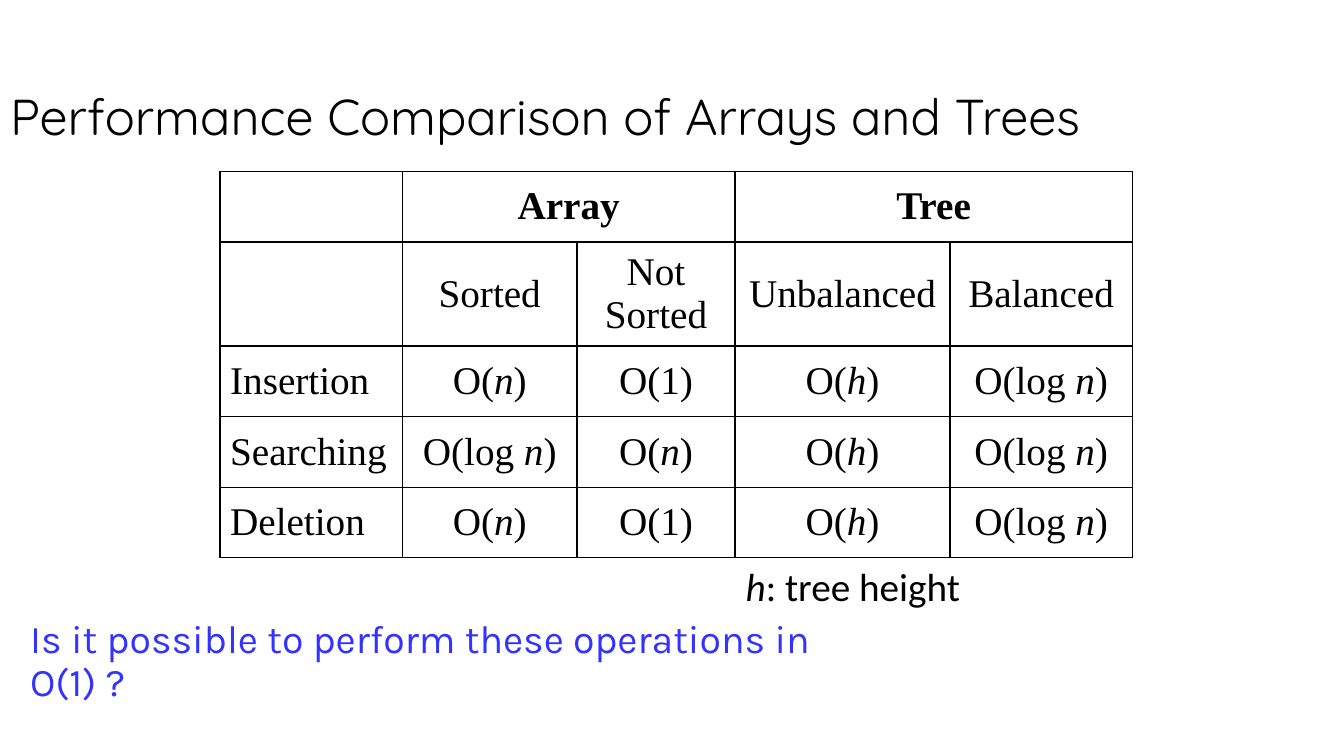
import dataclasses

import lxml.etree
import pptx
import pptx.dml.color
import pptx.enum.text
import pptx.oxml.ns
import pptx.util

BLACK = pptx.dml.color.RGBColor(0x00, 0x00, 0x00)
WHITE = pptx.dml.color.RGBColor(0xFF, 0xFF, 0xFF)
BLUE = pptx.dml.color.RGBColor(0x33, 0x33, 0xFF)

UNIT = pptx.util.Inches(1) / 12
WIDE, HIGH = 160, 90
PAD = 1.2
ALIGN = pptx.enum.text.PP_ALIGN
ANCHOR = pptx.enum.text.MSO_ANCHOR


@dataclasses.dataclass(frozen=True)
class Box:
    col: float
    row: float
    wide: float
    high: float


@dataclasses.dataclass(frozen=True)
class Style:
    face: str
    size: float
    color: pptx.dml.color.RGBColor = BLACK
    bold: bool = False


HEAD = Style("Quicksand", 36)
ASK = Style("Karla", 28, BLUE)
CELL = Style("Times New Roman", 28)
TOP = dataclasses.replace(CELL, bold=True)
NOTE = Style("Calibri", 28)

COLS = (21.7, 20.8, 18.8, 25.6, 21.7)
ROWS = (8.4, 12.4, 8.4, 8.4, 8.4)
GRID = (
    ("", "Array", "", "Tree", ""),
    ("", "Sorted", "Not Sorted", "Unbalanced", "Balanced"),
    ("Insertion", "O(_n_)", "O(1)", "O(_h_)", "O(log _n_)"),
    ("Searching", "O(log _n_)", "O(_n_)", "O(_h_)", "O(log _n_)"),
    ("Deletion", "O(_n_)", "O(1)", "O(_h_)", "O(log _n_)"),
)


def span(count: float) -> int:
    return round(count * UNIT)


def place(box: Box) -> tuple[int, int, int, int]:
    return span(box.col), span(box.row), span(box.wide), span(box.high)


def move(shape, box: Box) -> None:
    shape.left, shape.top, shape.width, shape.height = place(box)


def write(para, text: str, style: Style) -> None:
    for index, part in enumerate(text.split("_")):
        if part:
            run = para.add_run()
            run.text = part
            if index % 2:
                run.font.italic = True
    font = para.font
    font.name = style.face
    font.size = pptx.util.Pt(style.size)
    font.bold = style.bold
    font.color.rgb = style.color


def inset(frame, left: float, top: float, right: float, low: float) -> None:
    frame.margin_left, frame.margin_top = span(left), span(top)
    frame.margin_right, frame.margin_bottom = span(right), span(low)
    frame.word_wrap = True


def border(cell) -> None:
    props = cell._tc.get_or_add_tcPr()
    for index, side in enumerate(("lnL", "lnR", "lnT", "lnB")):
        line = lxml.etree.Element(pptx.oxml.ns.qn(f"a:{side}"), w=str(pptx.util.Pt(1)))
        fill = lxml.etree.SubElement(line, pptx.oxml.ns.qn("a:solidFill"))
        lxml.etree.SubElement(fill, pptx.oxml.ns.qn("a:srgbClr"), val=str(BLACK))
        props.insert(index, line)


def title(slide) -> None:
    shape = slide.shapes.title
    move(shape, Box(0, 4.3, 148.3, 14.2))
    frame = shape.text_frame
    inset(frame, PAD, PAD / 2, PAD, PAD)
    frame.vertical_anchor = ANCHOR.BOTTOM
    para = frame.paragraphs[0]
    para.alignment = ALIGN.LEFT
    para.line_spacing = 0.85
    write(para, "Performance Comparison of Arrays and Trees", HEAD)


def question(slide) -> None:
    shape = slide.placeholders[1]
    move(shape, Box(0, 73.2, 108, 11))
    frame = shape.text_frame
    inset(frame, 0, PAD / 2, 0, PAD / 2)
    frame.vertical_anchor = ANCHOR.TOP
    para = frame.paragraphs[0]
    para.line_spacing = 0.9
    para.space_before = pptx.util.Pt(0)
    props = para._p.get_or_add_pPr()
    props.set("marL", str(span(3.6)))
    props.set("indent", str(span(-3.6)))
    lxml.etree.SubElement(props, pptx.oxml.ns.qn("a:buChar"), char=" ")
    write(para, "Is it possible to perform these operations in O(1) ?", ASK)


def table(slide) -> None:
    box = Box(26.2, 20.4, sum(COLS), sum(ROWS))
    grid = slide.shapes.add_table(len(ROWS), len(COLS), *place(box)).table
    grid.first_row = grid.horz_banding = False
    for col, wide in zip(grid.columns, COLS):
        col.width = span(wide)
    for row, high in zip(grid.rows, ROWS):
        row.height = span(high)
    for r, texts in enumerate(GRID):
        for c, text in enumerate(texts):
            cell = grid.cell(r, c)
            cell.fill.solid()
            cell.fill.fore_color.rgb = WHITE
            border(cell)
            cell.vertical_anchor = ANCHOR.MIDDLE
            para = cell.text_frame.paragraphs[0]
            para.alignment = ALIGN.CENTER if c else ALIGN.LEFT
            write(para, text, CELL if r else TOP)
    for c in (1, 3):
        grid.cell(0, c).merge(grid.cell(0, c + 1))


def legend(slide) -> None:
    shape = slide.shapes.add_textbox(*place(Box(87.6, 66.4, 30.2, 6.8)))
    frame = shape.text_frame
    inset(frame, PAD, PAD / 2, PAD, PAD / 2)
    frame.auto_size = pptx.enum.text.MSO_AUTO_SIZE.SHAPE_TO_FIT_TEXT
    write(frame.paragraphs[0], "_h_: tree height", NOTE)


def main() -> None:
    deck = pptx.Presentation()
    deck.slide_width, deck.slide_height = span(WIDE), span(HIGH)
    slide = deck.slides.add_slide(deck.slide_layouts[1])
    title(slide)
    question(slide)
    table(slide)
    legend(slide)
    deck.save("out.pptx")


if __name__ == "__main__":
    main()
